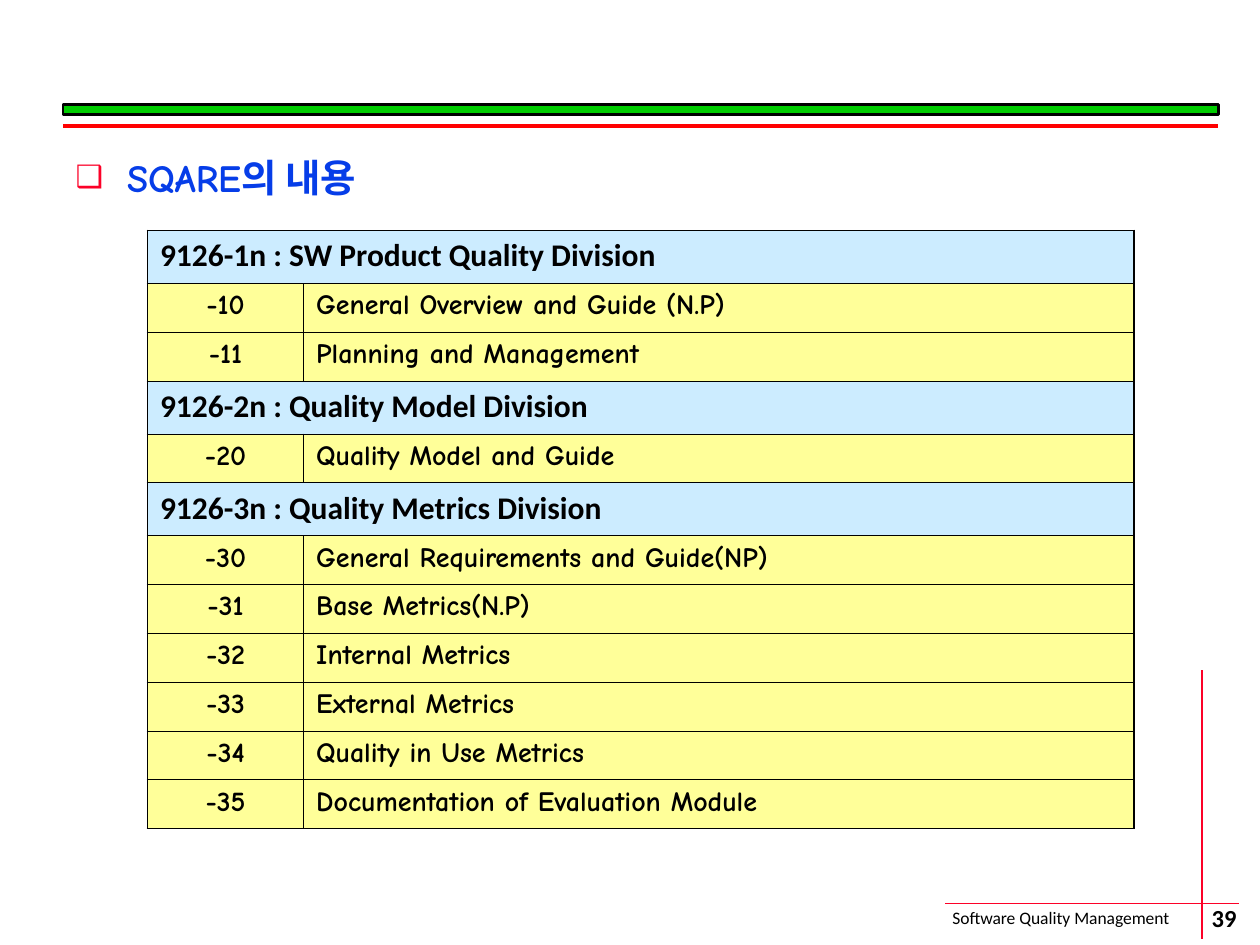
from lxml.etree import SubElement
from pptx import Presentation
from pptx.dml.color import RGBColor
from pptx.enum.shapes import MSO_CONNECTOR as CONN, MSO_SHAPE as SHAPE
from pptx.enum.text import MSO_ANCHOR as ANCHOR, PP_ALIGN as ALIGN
from pptx.oxml.ns import qn
from pptx.util import Inches, Pt

RED = "FC0128"
BLACK = "000000"
THICK, THIN = 1.08, 0.45
DIVISIONS = [
    ("9126-1n : SW Product Quality Division", [
        ("-10", "General Overview and Guide (N.P)"),
        ("-11", "Planning and Management")]),
    ("9126-2n : Quality Model Division", [
        ("-20", "Quality Model and Guide")]),
    ("9126-3n : Quality Metrics Division", [
        ("-30", "General Requirements and Guide(NP)"),
        ("-31", "Base Metrics(N.P)"),
        ("-32", "Internal Metrics"),
        ("-33", "External Metrics"),
        ("-34", "Quality in Use Metrics"),
        ("-35", "Documentation of Evaluation Module")]),
]


def rgb(value):
    """Turn a hex string into a colour."""
    return RGBColor.from_string(value)


def add_run(p, text, size, font, color=BLACK, bold=True):
    """Add one formatted run to a paragraph."""
    r = p.add_run()
    r.text = text
    r.font.size, r.font.name, r.font.bold = Pt(size), font, bold
    r.font.color.rgb = rgb(color)


def add_line(s, x1, y1, x2, y2, color, width):
    """Draw a straight line without a shadow."""
    line = s.shapes.add_connector(CONN.STRAIGHT, Inches(x1), Inches(y1), Inches(x2), Inches(y2))
    line.line.color.rgb = rgb(color)
    line.line.width = Pt(width)
    SubElement(line._element.spPr, qn("a:effectLst"))


def add_label(s, x, y, w, h, text, size, bold, align=ALIGN.LEFT):
    """Add a one-line footer label."""
    tf = s.shapes.add_textbox(Inches(x), Inches(y), Inches(w), Inches(h)).text_frame
    tf.word_wrap = False
    p = tf.paragraphs[0]
    p.alignment = align
    add_run(p, text, size, "Calibri", BLACK, bold)
    return tf


def add_footer(s, x, y, w):
    """Place the crossing red rules, the course name and the page number."""
    add_line(s, x, y, x + w, y, RED, 1)
    add_label(s, x - 0.04, y - 0.02, 2.19, 0.27, "Software Quality Management", 10, False)
    add_line(s, x + 2.04, y - 1.85, x + 2.04, y + 0.28, RED, 1)
    tf = add_label(s, x + 1.72, y - 0.03, 0.99, 0.28, "39", 14, True, ALIGN.CENTER)
    tf.vertical_anchor = ANCHOR.MIDDLE
    tf.margin_left = tf.margin_right = tf.margin_top = tf.margin_bottom = 0


def add_header_rule(s, x, y, w):
    """Place the green bar with the red line below it."""
    bar = s.shapes.add_shape(SHAPE.RECTANGLE, Inches(x), Inches(y), Inches(w), Inches(0.08))
    bar.shadow.inherit = False
    bar.fill.solid()
    bar.fill.fore_color.rgb = rgb("00CC00")
    bar.line.color.rgb = rgb(BLACK)
    bar.line.width = Pt(1.5)
    add_line(s, x, y + 0.17, x + w, y + 0.17, "FF0000", 2.25)


def fill_heading(body, x, y, w, h):
    """Move the body placeholder and write the bulleted heading."""
    body.left, body.top, body.width, body.height = Inches(x), Inches(y), Inches(w), Inches(h)
    p = body.text_frame.paragraphs[0]
    p.space_before = Pt(0)
    pPr = p._p.get_or_add_pPr()
    indent = Inches(0.41)
    pPr.set("marL", str(indent))
    pPr.set("indent", str(-indent))
    SubElement(SubElement(pPr, qn("a:buClr")), qn("a:srgbClr"), val=RED)
    SubElement(pPr, qn("a:buSzPct"), val="80000")
    SubElement(pPr, qn("a:buChar"), char="❑")
    add_run(p, "SQARE의 내용", 22, "Comic Neue", "063DE8")


def format_cell(cell, fill, borders):
    """Set a cell's left, right, top and bottom borders, then its fill."""
    tcPr = cell._tc.get_or_add_tcPr()
    for side, width in zip("LRTB", borders):
        ln = SubElement(tcPr, qn(f"a:ln{side}"), w=str(Pt(width)))
        SubElement(SubElement(ln, qn("a:solidFill")), qn("a:srgbClr"), val=BLACK)
    cell.fill.solid()
    cell.fill.fore_color.rgb = rgb(fill)


def add_division_table(s, x, y, w, h):
    """Build the table of divisions, each a merged header above its parts."""
    rows = [row for title, parts in DIVISIONS for row in [(title, None), *parts]]
    frame = s.shapes.add_table(len(rows), 2, Inches(x), Inches(y), Inches(w), Inches(h))
    table = frame.table
    table.first_row = table.horz_banding = False
    table.columns[0].width = Inches(1.24)
    table.columns[1].width = Inches(w - 1.24)
    header_height = 0.42
    part_height = (h - header_height * len(DIVISIONS)) / (len(rows) - len(DIVISIONS))
    for i, (first, second) in enumerate(rows):
        left, right = table.cell(i, 0), table.cell(i, 1)
        is_header = second is None
        table.rows[i].height = Inches(header_height if is_header else part_height)
        top = THICK if i == 0 else THIN
        bottom = THICK if i == len(rows) - 1 else THIN
        inner = THICK if is_header else THIN
        fill = "CCECFF" if is_header else "FFFF99"
        format_cell(left, fill, (THICK, inner, top, bottom))
        format_cell(right, fill, (inner, THICK, top, bottom))
        p = left.text_frame.paragraphs[0]
        if is_header:
            left.merge(right)
            add_run(p, first, 18, "Calibri")
        else:
            p.alignment = ALIGN.CENTER
            add_run(p, first, 16, "Comic Neue")
            add_run(right.text_frame.paragraphs[0], second, 16, "Comic Neue")


def main():
    """Build and save the slide."""
    prs = Presentation()
    prs.slide_width, prs.slide_height = Inches(10), Inches(7.5)
    s = prs.slides.add_slide(prs.slide_layouts[1])
    title = s.shapes.title.element
    title.getparent().remove(title)
    add_footer(s, 7.5, 7.17, 2.33)
    add_header_rule(s, 0.5, 0.83, 9.17)
    fill_heading(s.placeholders[1], 0.5, 1.17, 9.17, 6.02)
    add_division_table(s, 1.17, 1.83, 7.83, 4.75)
    prs.save("out.pptx")


if __name__ == "__main__":
    main()
